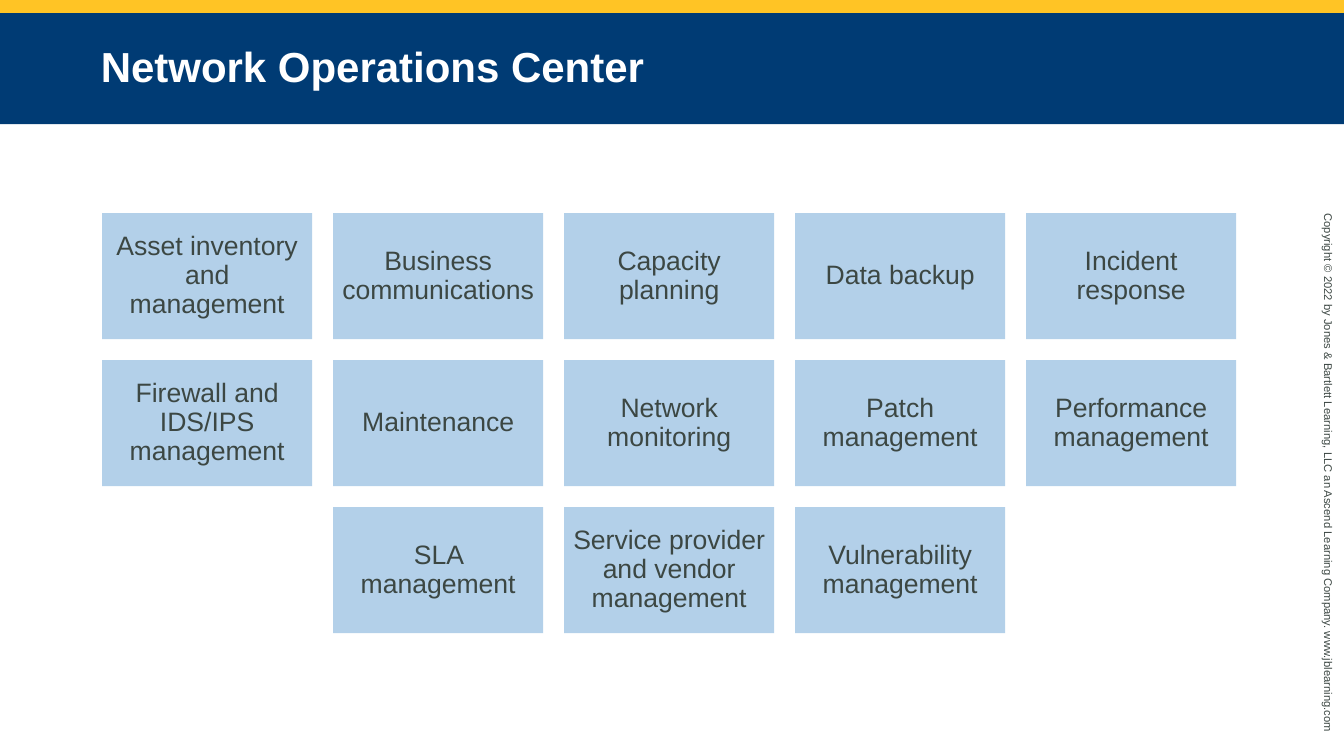
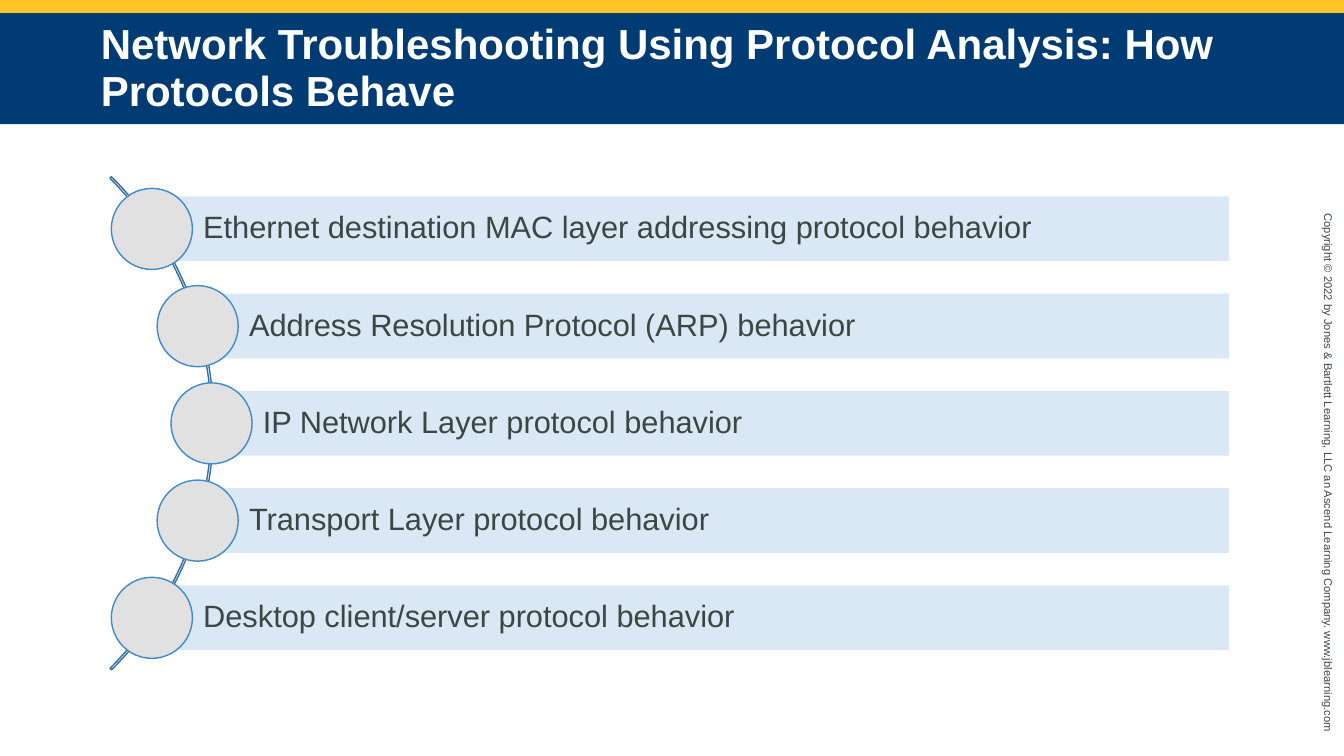
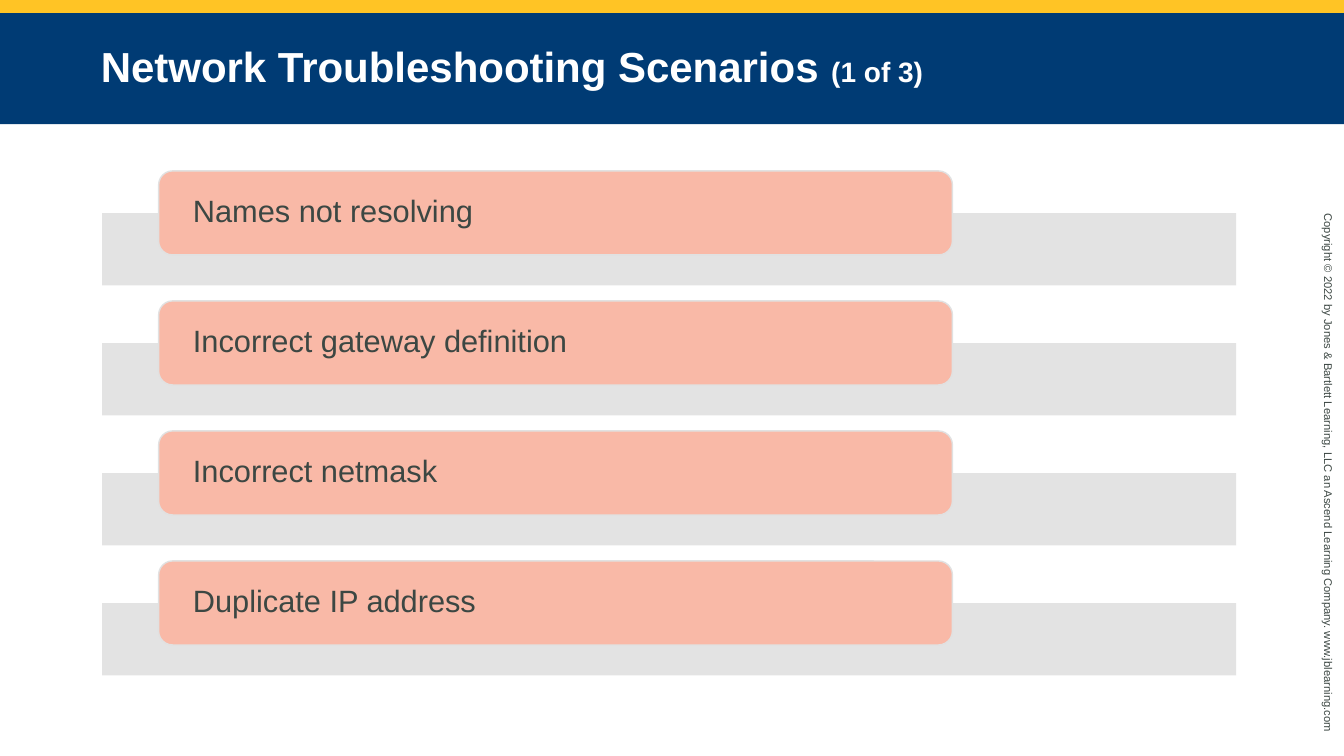
import math

import pptx
import pptx.dml.color
import pptx.enum.shapes
import pptx.enum.text
import pptx.oxml.ns
import pptx.util
from lxml import etree

Pt = pptx.util.Pt
SHAPE = pptx.enum.shapes.MSO_SHAPE
ALIGN = pptx.enum.text.PP_ALIGN
ANCHOR = pptx.enum.text.MSO_ANCHOR

FONT = "Arial"
GOLD, NAVY, WHITE, INK = "FFC425", "003B74", "FFFFFF", "3C4743"
TILE_BLUE, BAR_BLUE, ARC_BLUE, RING_BLUE = "B3D0E9", "D9E8F4", "346FA1", "418AC9"
GREY, SALMON = "E1E1E1", "F9B9A7"

SLIDE_W, SLIDE_H = 960, 540
GOLD_H, TITLE_H = 9.4, 79.2
LEFT, CONTENT_W = 73, 810

COPYRIGHT = ("Copyright © 2022 by Jones & Bartlett Learning, LLC an Ascend "
             "Learning Company. www.jblearning.com")

CENTER_TITLE = [("Network Operations Center", 30)]
CENTER_ROWS = [
    ["Asset inventory and management", "Business communications",
     "Capacity planning", "Data backup", "Incident response"],
    ["Firewall and IDS/IPS management", "Maintenance", "Network monitoring",
     "Patch management", "Performance management"],
    ["SLA management", "Service provider and vendor management",
     "Vulnerability management"],
]

PROTOCOL_TITLE = [("Network Troubleshooting Using Protocol Analysis: "
                   "How Protocols Behave", 30)]
PROTOCOLS = [
    "Ethernet destination MAC layer addressing protocol behavior",
    "Address Resolution Protocol (ARP) behavior",
    "IP Network Layer protocol behavior",
    "Transport Layer protocol behavior",
    "Desktop client/server protocol behavior",
]

SCENARIO_TITLE = [("Network Troubleshooting Scenarios ", 30), ("(1 of 3)", 20)]
SCENARIOS = ["Names not resolving", "Incorrect gateway definition",
             "Incorrect netmask", "Duplicate IP address"]


def color(hex_string):
    return pptx.dml.color.RGBColor.from_string(hex_string)


def add_block(slide, kind, box, fill=None, line=None):
    """Add a flat preset shape; box is left, top, width, height in points."""
    block = slide.shapes.add_shape(kind, *map(Pt, box))
    block.shadow.inherit = False
    if fill:
        block.fill.solid()
        block.fill.fore_color.rgb = color(fill)
    else:
        block.fill.background()
    if line:
        block.line.color.rgb = color(line)
        block.line.width = Pt(1)
    else:
        block.line.fill.background()
    return block


def write(holder, runs, insets, ink=INK, align=ALIGN.LEFT, spacing=0.9, bold=False):
    """Fill a shape with one paragraph of (text, size) runs; insets are (x, y)."""
    frame = holder.text_frame
    frame.auto_size = pptx.enum.text.MSO_AUTO_SIZE.NONE
    frame.word_wrap = True
    frame.vertical_anchor = ANCHOR.MIDDLE
    frame.margin_left = frame.margin_right = Pt(insets[0])
    frame.margin_top = frame.margin_bottom = Pt(insets[1])
    paragraph = frame.paragraphs[0]
    paragraph.alignment = align
    paragraph.line_spacing = spacing
    for text, size in runs:
        run = paragraph.add_run()
        run.text = text
        run.font.name = FONT
        run.font.size = Pt(size)
        run.font.bold = bold
        run.font.color.rgb = color(ink)


def set_opacity(block, percent):
    tint = block.fill._xPr.find(".//" + pptx.oxml.ns.qn("a:srgbClr"))
    etree.SubElement(tint, pptx.oxml.ns.qn("a:alpha"), val=str(percent * 1000))


def add_titled_slide(deck, layout, title_runs):
    slide = deck.slides.add_slide(layout)
    title = slide.shapes.title
    title.left, title.top = Pt(0), Pt(GOLD_H)
    title.width, title.height = Pt(SLIDE_W), Pt(TITLE_H)
    title.fill.solid()
    title.fill.fore_color.rgb = color(NAVY)
    write(title, title_runs, (72, 3.6), WHITE, spacing=0.95, bold=True)
    return slide


def decorate_layout(slide):
    """Draw the gold band and copyright line, then move them to the layout."""
    band = add_block(slide, SHAPE.RECTANGLE, (0, 0, SLIDE_W, GOLD_H), GOLD)
    width, height = 394.6, 17
    center_x, center_y = 949, 342.7
    copyright_line = slide.shapes.add_textbox(
        Pt(center_x - width / 2), Pt(center_y - height / 2), Pt(width), Pt(height))
    copyright_line.rotation = 90
    write(copyright_line, [(COPYRIGHT, 8)], (7.2, 3.6), spacing=1)
    for part in (band, copyright_line):
        slide.slide_layout.shapes.element.append(part.element)


def draw_center_tiles(slide):
    top, width, height, gap = 152.2, 150, 90, 15
    for row, labels in enumerate(CENTER_ROWS):
        row_w = len(labels) * (width + gap) - gap
        row_left = LEFT + (CONTENT_W - row_w) / 2
        for column, label in enumerate(labels):
            box = (row_left + column * (width + gap),
                   top + row * (height + gap), width, height)
            tile = add_block(slide, SHAPE.RECTANGLE, box, TILE_BLUE)
            write(tile, [(label, 19)], (5.7, 5.7), align=ALIGN.CENTER)


def draw_protocol_arc(slide):
    """Place each disc on a circle whose center lies left of the slide."""
    center_x, center_y, outer, orbit = -96.5, 302.4, 249.1, 247.6
    pitch, bar_h, disc, bar_right = 69.45, 46.3, 57.9, 877.8
    arc = add_block(slide, SHAPE.BLOCK_ARC,
                    (center_x - outer, center_y - outer, 2 * outer, 2 * outer),
                    line=ARC_BLUE)
    arc.adjustments[0] = 189
    arc.adjustments[1] = 27
    arc.adjustments[2] = 0.31 / 100
    for index, label in enumerate(PROTOCOLS):
        drop = (index - (len(PROTOCOLS) - 1) / 2) * pitch
        x = center_x + math.sqrt(orbit ** 2 - drop ** 2)
        y = center_y + drop
        bar = add_block(slide, SHAPE.RECTANGLE,
                        (x, y - bar_h / 2, bar_right - x, bar_h), BAR_BLUE)
        write(bar, [(label, 22)], (4, 4))
        bar.text_frame.margin_left = Pt(36.7)
        add_block(slide, SHAPE.OVAL, (x - disc / 2, y - disc / 2, disc, disc),
                  GREY, RING_BLUE)


def draw_scenarios(slide):
    top, pitch, bar_h = 152.3, 92.86, 51.6
    label_left, label_w, label_h, label_rise = 113.3, 567, 60, 30.2
    for index, label in enumerate(SCENARIOS):
        y = top + index * pitch
        bar = add_block(slide, SHAPE.RECTANGLE, (LEFT, y, CONTENT_W, bar_h), GREY)
        set_opacity(bar, 90)
        card = add_block(slide, SHAPE.ROUNDED_RECTANGLE,
                         (label_left, y - label_rise, label_w, label_h),
                         SALMON, GREY)
        # The rounded corners add their own text inset of about 3 pt.
        write(card, [(label, 22)], (21.6, 0))


def main():
    deck = pptx.Presentation()
    deck.slide_width, deck.slide_height = Pt(SLIDE_W), Pt(SLIDE_H)
    layout = deck.slide_layouts.get_by_name("Title Only")
    pages = [(CENTER_TITLE, draw_center_tiles),
             (PROTOCOL_TITLE, draw_protocol_arc),
             (SCENARIO_TITLE, draw_scenarios)]
    for number, (title_runs, draw) in enumerate(pages):
        slide = add_titled_slide(deck, layout, title_runs)
        if number == 0:
            decorate_layout(slide)
        draw(slide)
    deck.save("out.pptx")


if __name__ == "__main__":
    main()
